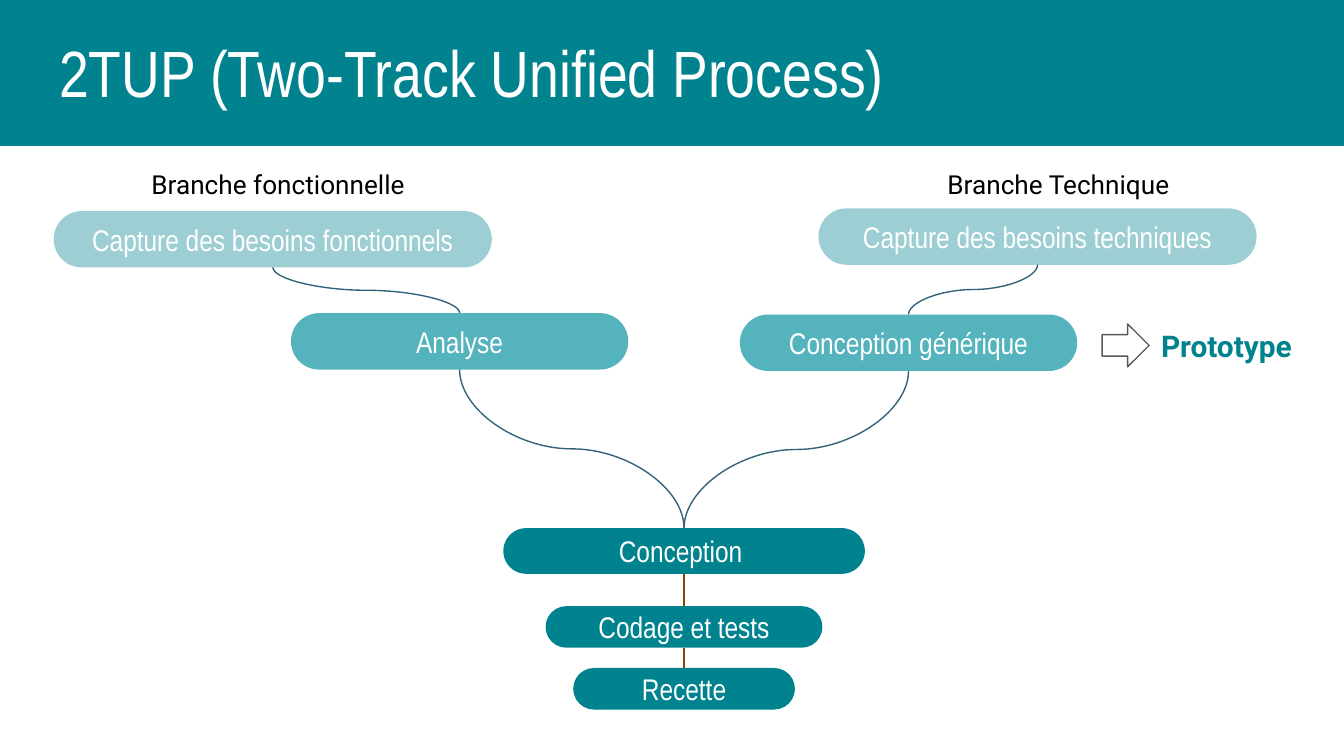
from lxml import etree
from pptx import Presentation
from pptx.dml.color import RGBColor
from pptx.enum.shapes import MSO_CONNECTOR, MSO_SHAPE
from pptx.enum.text import MSO_ANCHOR, MSO_AUTO_SIZE, PP_ALIGN
from pptx.oxml.ns import qn
from pptx.util import Inches, Pt

RECT, PILL, ARROW = MSO_SHAPE.RECTANGLE, MSO_SHAPE.ROUNDED_RECTANGLE, MSO_SHAPE.RIGHT_ARROW
CURVE, STRAIGHT = MSO_CONNECTOR.CURVE, MSO_CONNECTOR.STRAIGHT
TOP, MIDDLE, BOTTOM = MSO_ANCHOR.TOP, MSO_ANCHOR.MIDDLE, MSO_ANCHOR.BOTTOM
LEFT, CENTER = PP_ALIGN.LEFT, PP_ALIGN.CENTER

HEX = {"teal": "00838F", "mid": "54B3BC", "white": "FFFFFF", "black": "000000",
       "curve": "326279", "brown": "8B4605", "grey": "595959"}
RGB = {name: RGBColor.from_string(code) for name, code in HEX.items()}


def write(shape, text, size=16, font="Arial Narrow", color="white", bold=False,
          align=CENTER, anchor=MIDDLE):
    frame = shape.text_frame
    frame.word_wrap = True
    frame.auto_size = MSO_AUTO_SIZE.NONE
    frame.vertical_anchor = anchor
    frame.margin_left = frame.margin_right = Inches(0.1)
    frame.margin_top = frame.margin_bottom = Inches(0.1)
    frame.text = text
    par = frame.paragraphs[0]
    par.alignment = align
    face = par.runs[0].font
    face.size, face.name, face.bold = Pt(size), font, bold
    face.color.rgb = RGB[color]


def stroke(link, color):
    link.line.color.rgb = RGB[color]
    link.line.width = Pt(0.75)
    etree.SubElement(link._element.spPr, qn("a:effectLst"))


# A 16:9 slide
prs = Presentation()
prs.slide_width = Inches(10)
prs.slide_height = Inches(10) * 9 // 16
slide = prs.slides.add_slide(prs.slide_layouts[5])
shapes = slide.shapes

# Title on its band
band = shapes.add_shape(RECT, Inches(-0.03), Inches(-0.02), Inches(10.03), Inches(1.1))
band.shadow.inherit = False
band.fill.solid()
band.fill.fore_color.rgb = band.line.color.rgb = RGB["teal"]
band.line.width = Pt(0.75)
shapes._spTree.insert(2, band._element)

title = shapes.title
title.left, title.top = Inches(0.34), Inches(0.12)
title.width, title.height = Inches(9.52), Inches(0.8)
write(title, "2TUP (Two-Track Unified Process)", size=35, align=LEFT, anchor=BOTTOM)

# Steps: text, centre, top, width, height, fill, opacity in percent
steps = [
    ("Conception ", 5.09, 3.93, 2.69, 0.34, "teal", 100),
    ("Conception générique", 6.76, 2.34, 2.51, 0.42, "mid", 100),
    ("Analyse", 3.42, 2.33, 2.51, 0.42, "mid", 100),
    ("Capture des besoins fonctionnels", 2.03, 1.57, 3.26, 0.42, "teal", 39),
    ("Capture des besoins techniques", 7.72, 1.55, 3.26, 0.42, "teal", 39),
    ("Codage et tests", 5.09, 4.51, 2.06, 0.31, "teal", 100),
    ("Recette", 5.09, 4.97, 1.65, 0.31, "teal", 100),
]
pills = []
for text, mid, top, wide, high, color, alpha in steps:
    pill = shapes.add_shape(PILL, Inches(mid - wide / 2), Inches(top), Inches(wide), Inches(high))
    pill.adjustments[0] = 0.5
    pill.shadow.inherit = False
    pill.line.fill.background()
    pill.fill.solid()
    pill.fill.fore_color.rgb = RGB[color]
    if alpha < 100:
        tint = pill._element.spPr.find(qn("a:solidFill"))[0]
        etree.SubElement(tint, qn("a:alpha"), val=str(alpha * 1000))
    write(pill, text)
    pills.append(pill)
design, generic, study, needs, techs, code, check = pills

# Curves from bottom to top side: a sideways S turned by a quarter
for start, end in [(generic, design), (study, design), (needs, study), (techs, generic)]:
    x1, y1 = start.left + start.width // 2, start.top + start.height
    x2, y2 = end.left + end.width // 2, end.top
    midx, midy = (x1 + x2) // 2, (y1 + y2) // 2
    right = x2 > x1
    dx, dy = abs(x2 - x1) // 2, (y2 - y1) // 2
    if right:
        dy = -dy
    link = shapes.add_connector(CURVE, midx - dy, midy - dx, midx + dy, midy + dx)
    link._element.spPr.xfrm.set("rot", str((270 if right else 90) * 60000))
    stroke(link, "curve")

# Straight links down the stem
for start, end in [(design, code), (code, check)]:
    link = shapes.add_connector(STRAIGHT, 0, 0, 0, 0)
    link.begin_connect(start, 2)
    link.end_connect(end, 0)
    stroke(link, "brown")

# Branch names
for text, left, wide in [("Branche fonctionnelle", 0.94, 2.26), ("Branche Technique", 6.8, 2.15)]:
    label = shapes.add_textbox(Inches(left), Inches(1.15), Inches(wide), Inches(0.31))
    write(label, text, size=14, font="Roboto", color="black", anchor=TOP)

# Prototype
arrow = shapes.add_shape(ARROW, Inches(8.2), Inches(2.41), Inches(0.35), Inches(0.32))
arrow.shadow.inherit = False
arrow.fill.background()
arrow.line.color.rgb = RGB["grey"]
arrow.line.width = Pt(0.75)
label = shapes.add_textbox(Inches(8.54), Inches(2.42), Inches(1.38), Inches(0.31))
write(label, "Prototype", font="Roboto", color="teal", bold=True, align=LEFT)

prs.save("out.pptx")
